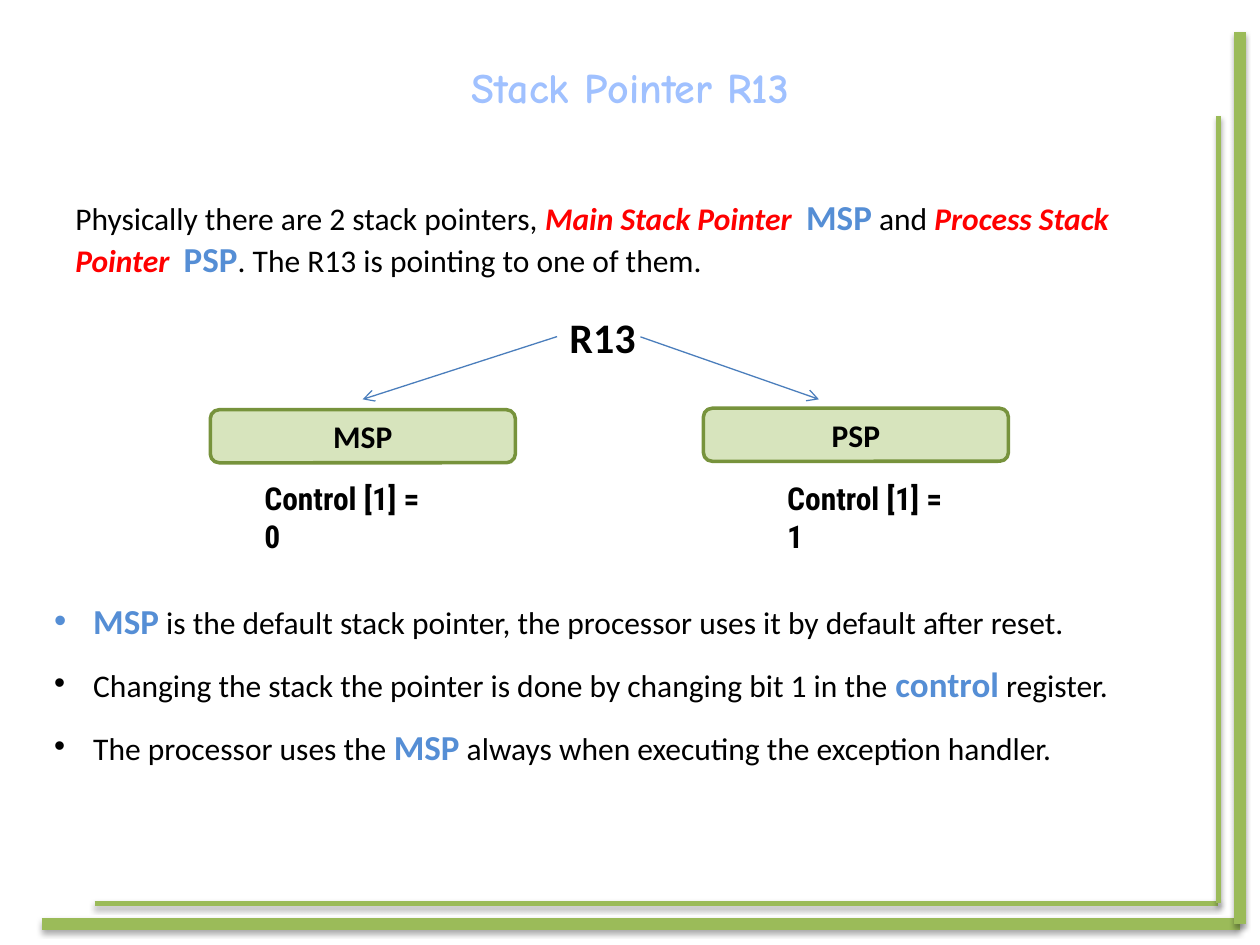
from lxml import etree
from pptx import Presentation
from pptx.dml.color import RGBColor
from pptx.enum.shapes import MSO_CONNECTOR, MSO_SHAPE
from pptx.enum.text import MSO_ANCHOR, MSO_AUTO_SIZE, PP_ALIGN
from pptx.oxml.ns import qn
from pptx.util import Cm, Pt

STRAIGHT = MSO_CONNECTOR.STRAIGHT
ROUNDED = MSO_SHAPE.ROUNDED_RECTANGLE
MIDDLE = MSO_ANCHOR.MIDDLE
NO_FIT = MSO_AUTO_SIZE.NONE
CENTER = PP_ALIGN.CENTER
LEFT_SIDE = 1

COLORS = {
    "frame": "9BBB59",
    "title": "A0C1FF",
    "text": "000000",
    "term": "FF0000",
    "register": "558ED5",
    "box": "D7E4BD",
    "border": "77933C",
    "arrow": "4B7EBC",
    "shadow": "000000",
}

STYLES = {
    "plain": dict(size=18),
    "strong": dict(size=18, bold=True),
    "term": dict(size=18, bold=True, italic=True, color="term"),
    "register": dict(size=20, bold=True, color="register"),
    "root": dict(size=24, bold=True),
    "control": dict(size=18, bold=True, font="Roboto Condensed"),
    "title": dict(size=24, bold=True, color="title", font="Comic Neue"),
}

INTRO = [
    ("Physically there are 2 stack pointers, ", "plain"),
    ("Main Stack Pointer  ", "term"),
    ("MSP", "register"),
    (" and ", "plain"),
    ("Process Stack Pointer  ", "term"),
    ("PSP", "register"),
    (". The R13 is pointing to one of them.", "plain"),
]

NOTES = [
    [("MSP", "register"),
     (" is the default stack pointer, the processor uses it by default after reset.", "plain")],
    [("Changing the stack the pointer is done by changing bit 1 in the ", "plain"),
     ("control", "register"),
     (" register.", "plain")],
    [("The processor uses the ", "plain"),
     ("MSP", "register"),
     (" always when executing the exception handler.", "plain")],
]


def rgb(name):
    return RGBColor.from_string(COLORS[name])


def add_span(para, text, style):
    look = STYLES[style]
    span = para.add_run()
    span.text = text
    span.font.name = look.get("font", "Calibri")
    span.font.size = Pt(look["size"])
    span.font.bold = look.get("bold", False)
    span.font.italic = look.get("italic", False)
    span.font.color.rgb = rgb(look.get("color", "text"))


def add_text(page, left, top, width, height, paras):
    box = page.shapes.add_textbox(Cm(left), Cm(top), Cm(width), Cm(height))
    frame = box.text_frame
    frame.word_wrap = True
    for index, spans in enumerate(paras):
        para = frame.add_paragraph() if index else frame.paragraphs[0]
        for text, style in spans:
            add_span(para, text, style)
    return box


def add_line(page, start, end, color, weight):
    line = page.shapes.add_connector(STRAIGHT, *[Cm(value) for value in start + end])
    line.line.color.rgb = rgb(color)
    line.line.width = Pt(weight)
    effects = etree.SubElement(line._element.spPr, qn("a:effectLst"))
    return line, effects


def add_title(page, left, top, width, height):
    title = page.shapes.title
    title.left, title.top, title.width, title.height = map(Cm, (left, top, width, height))
    frame = title.text_frame
    frame.word_wrap = False
    frame.auto_size = NO_FIT
    para = frame.paragraphs[0]
    para.alignment = CENTER
    add_span(para, "Stack Pointer R13", "title")


def add_frame(page, left, top, right, bottom):
    inner_right, inner_bottom = right - 0.43, bottom - 0.41
    edges = [
        ((left + 1.07, inner_bottom), (inner_right, inner_bottom), 3),
        ((left, bottom), (right, bottom), 6.75),
        ((right, bottom), (right, top), 6.75),
        ((inner_right, inner_bottom), (inner_right, top + 1.7), 3),
    ]
    for start, end, weight in edges:
        line, effects = add_line(page, start, end, "frame", weight)
        shadow = etree.SubElement(effects, qn("a:outerShdw"), blurRad=str(Pt(3.1)),
                                  dist=str(Pt(1.8)), dir="5400000", rotWithShape="0")
        color = etree.SubElement(shadow, qn("a:srgbClr"), val=COLORS["shadow"])
        etree.SubElement(color, qn("a:alpha"), val="35000")


def add_pointer(page, left, top, name):
    box = page.shapes.add_shape(ROUNDED, Cm(left), Cm(top), Cm(6.15), Cm(1.07))
    box.shadow.inherit = False
    box.fill.solid()
    box.fill.fore_color.rgb = rgb("box")
    box.line.color.rgb = rgb("border")
    box.line.width = Pt(2)
    box.text_frame.vertical_anchor = MIDDLE
    para = box.text_frame.paragraphs[0]
    para.alignment = CENTER
    add_span(para, name, "strong")


def add_arrow(page, start, end):
    arrow, _ = add_line(page, start, end, "arrow", 0.75)
    etree.SubElement(arrow.line._get_or_add_ln(), qn("a:tailEnd"), type="arrow")
    return arrow


def add_diagram(page, left, top):
    add_pointer(page, left, top + 2.11, "MSP")
    add_pointer(page, left + 9.94, top + 2.08, "PSP")
    root = add_text(page, left + 6.99, top, 1.9, 1.27, [[("R13", "root")]])
    arrow_top, arrow_bottom = top + 0.64, top + 1.9
    to_msp = add_arrow(page, (left + 6.99, arrow_top), (left + 3.07, arrow_bottom))
    to_msp.begin_connect(root, LEFT_SIDE)
    add_arrow(page, (left + 8.67, arrow_top), (left + 12.27, arrow_bottom))
    for bit, offset in enumerate((0.84, 11.38)):
        add_text(page, left + offset, top + 3.38, 3.86, 1.02,
                 [[(f"Control [1] = {bit}", "control")]])


def add_notes(page, left, top, width, height):
    box = add_text(page, left, top, width, height, NOTES)
    for para in box.text_frame.paragraphs:
        para.line_spacing = 1.5
        props = para._p.get_or_add_pPr()
        props.set("marL", str(Cm(0.79)))
        props.set("indent", str(Cm(-0.79)))
        etree.SubElement(props, qn("a:buFont"), typeface="Arial")
        etree.SubElement(props, qn("a:buChar"), char="•")


def main():
    deck = Presentation()
    deck.slide_width, deck.slide_height = Cm(25.4), Cm(19.05)
    page = deck.slides.add_slide(deck.slide_layouts.get_by_name("Title Only"))
    add_frame(page, 0.84, 0.64, 24.99, 18.62)
    add_title(page, 9.09, 1.12, 7.24, 1.27)
    add_text(page, 1.27, 3.81, 22.02, 1.96, [INTRO])
    add_diagram(page, 4.24, 6.15)
    add_notes(page, 0.84, 11.53, 23.29, 4.11)
    deck.save("out.pptx")


if __name__ == "__main__":
    main()
